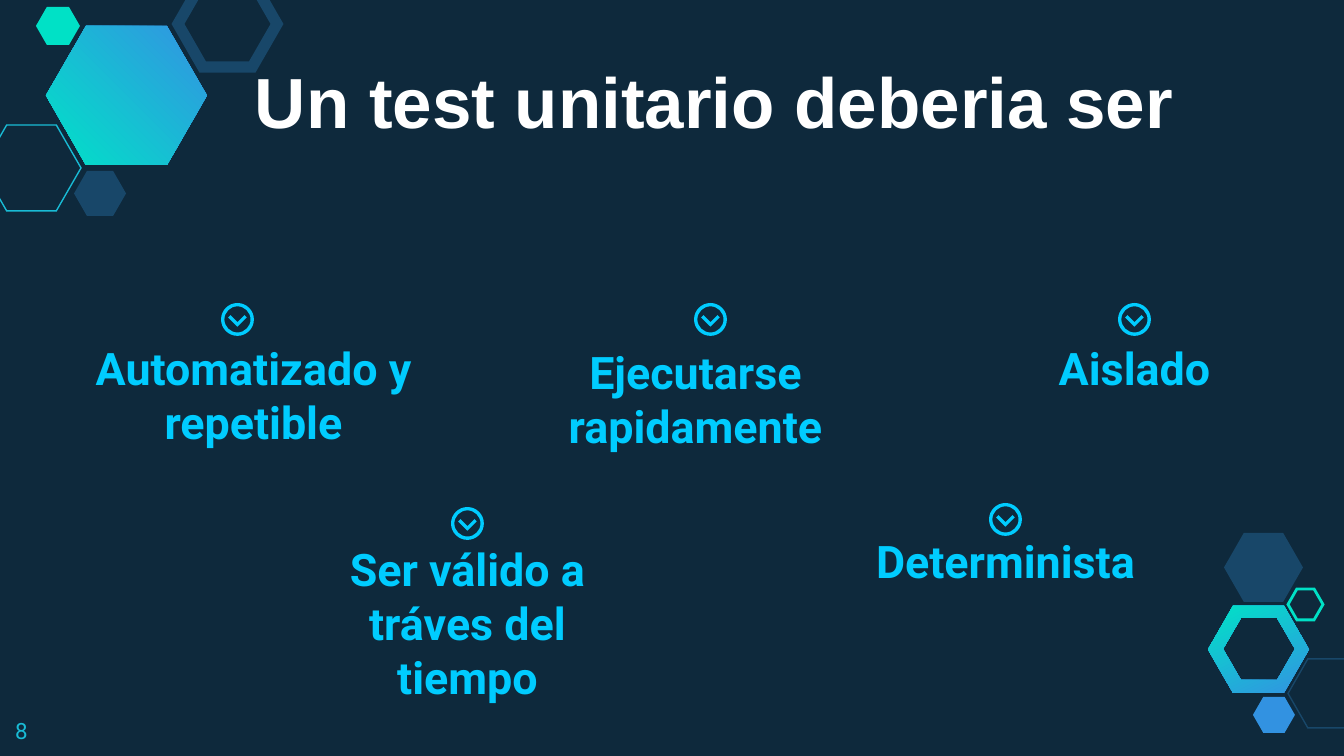
from dataclasses import dataclass

from lxml import etree
from pptx import Presentation
from pptx.dml.color import RGBColor
from pptx.enum import shapes, text
from pptx.oxml import ns
from pptx import util as u

PX = 914400 / 134.4
WIDTH, HEIGHT = 1344, 756
CURVE = 0.55  # handle length of a quarter circle, as a share of its radius


@dataclass(frozen=True)
class Theme:
    background: str = "0E293C"
    navy: str = "184769"
    teal: str = "19BBD5"
    mint: str = "00E1C6"
    blue: str = "3292E1"
    gradient: tuple = ("3393E2", "00E2C7")
    accent: str = "00CCFF"
    white: str = "FFFFFF"
    title_font: str = "Arial"
    body_font: str = "Roboto"
    title_size: int = 38
    body_size: int = 24
    number_size: int = 12


THEME = Theme()


def px(value):
    return u.Emu(round(value * PX))


def rgb(value):
    return RGBColor.from_string(value)


def apply_format(target, values):
    for name, value in values.items():
        setattr(target, name, value)


def style_shape(shape, fill=None, line=None, weight=1):
    shape.shadow.inherit = False
    if fill:
        shape.fill.solid()
        shape.fill.fore_color.rgb = rgb(fill)
    else:
        shape.fill.background()
    if line:
        shape.line.color.rgb = rgb(line)
        shape.line.width = u.Pt(weight)
        miter = etree.SubElement(shape.line._get_or_add_ln(), ns.qn("a:miter"))
        miter.set("lim", "800000")
    else:
        shape.line.fill.background()


def add_outline(slide, contours):
    """Draw closed contours, given in px, as one freeform."""
    scaled = [[(x * PX, y * PX) for x, y in contour] for contour in contours]
    builder = slide.shapes.build_freeform(*scaled[0][0], scale=1.0)
    for index, contour in enumerate(scaled):
        if index:
            builder.move_to(*contour[0])
        builder.add_line_segments(contour[1:], close=contour[0] != contour[-1])
    return builder.convert_to_shape()


def hexagon_points(left, top, width, height, corner):
    right, bottom, middle = left + width, top + height, top + height / 2
    return [(left, middle), (left + corner, top), (right - corner, top),
            (right, middle), (right - corner, bottom), (left + corner, bottom)]


def add_gradient_hexagon(slide, contours, angle):
    shape = add_outline(slide, contours)
    style_shape(shape)
    shape.fill.gradient()
    shape.fill.gradient_angle = angle
    for stop, color in zip(shape.fill.gradient_stops, THEME.gradient):
        stop.color.rgb = rgb(color)


def add_hexagons(slide, left, top, hexagons):
    for (x, y, width, height), look in hexagons:
        shape = slide.shapes.add_shape(
            shapes.MSO_SHAPE.HEXAGON, px(left + x), px(top + y), px(width), px(height))
        shape.adjustments[0] = 0.287
        style_shape(shape, **look)


def add_text(slide, box, words, font, color, margin=(13, 7), align=text.PP_ALIGN.LEFT):
    shape = slide.shapes.add_textbox(*map(px, box))
    frame = shape.text_frame
    side, end = map(px, margin)
    apply_format(frame, {"word_wrap": True, "margin_left": side, "margin_right": side,
                         "margin_top": end, "margin_bottom": end})
    paragraph = frame.paragraphs[0]
    paragraph.alignment = align
    run = paragraph.add_run()
    run.text = words
    apply_format(run.font, font)
    run.font.color.rgb = rgb(color)
    return paragraph


def add_top_cluster(slide, left, top):
    big = hexagon_points(left + 46, top + 26, 161, 139, 40)
    add_gradient_hexagon(slide, [big], 225)
    add_hexagons(slide, left, top, [
        ((-18, 125, 99, 86), {"line": THEME.teal, "weight": 0.75}),
        ((74, 171, 52, 45), {"fill": THEME.navy}),
        ((178, -19, 99, 86), {"line": THEME.navy, "weight": 6}),
        ((36, 7, 44, 38), {"fill": THEME.mint}),
    ])


def add_bottom_cluster(slide, left, top):
    outer = hexagon_points(left, top + 72, 101, 87, 25)
    inner = hexagon_points(left + 15, top + 84, 72, 62, 18)
    add_gradient_hexagon(slide, [outer, inner[::-1]], 116)
    add_hexagons(slide, left, top, [
        ((80, 125, 79, 69), {"line": THEME.navy, "weight": 0.75}),
        ((45, 163, 42, 36), {"fill": THEME.blue}),
        ((16, -1, 79, 69), {"fill": THEME.navy}),
        ((80, 55, 35, 31), {"line": THEME.mint, "weight": 1.5}),
    ])


def circle_points(center_x, center_y, radius, turn):
    """Anchors and handles of four quarter curves, from the bottom round."""
    handle = radius * CURVE
    points = [(0, radius)]
    for dx, dy in [(-1, 0), (0, -1), (1, 0), (0, 1)]:
        start_x, start_y = points[-1]
        end_x, end_y = dx * radius, dy * radius
        points += [(start_x + dx * handle, start_y + dy * handle),
                   (end_x + start_x * CURVE, end_y + start_y * CURVE),
                   (end_x, end_y)]
    return [(center_x + x, center_y + y) for x, y in points[::turn]]


def curve_segments(shape, count):
    """Turn the first line segments, three at a time, into cubic curves."""
    segments = list(shape._element.iter(ns.qn("a:lnTo")))
    for index in range(0, count * 3, 3):
        first, *others = segments[index:index + 3]
        curve = etree.Element(ns.qn("a:cubicBezTo"))
        first.addprevious(curve)
        for segment in (first, *others):
            curve.append(segment[0])
            segment.getparent().remove(segment)


def add_chevron_icon(slide, left, top, size=31):
    radius = size / 2
    x, y = left + radius, top + radius
    chevron = [(-8, -2), (-7, -3), (0, 4), (7, -3), (8, -2), (0, 6)]
    icon = add_outline(slide, [
        circle_points(x, y, radius, 1),
        circle_points(x, y, radius - 1.5, -1),
        [(x + dx, y + dy) for dx, dy in chevron],
    ])
    curve_segments(icon, 8)
    style_shape(icon, fill=THEME.accent, line=THEME.accent)


def add_quality(slide, box, icon_offset, words):
    left, top = box[:2]
    add_chevron_icon(slide, left + icon_offset[0], top + icon_offset[1])
    font = {"name": THEME.body_font, "size": u.Pt(THEME.body_size), "bold": True}
    add_text(slide, box, words, font, THEME.accent, align=text.PP_ALIGN.CENTER)


def add_title(slide, box, words, indent):
    font = {"name": THEME.title_font, "size": u.Pt(THEME.title_size), "bold": True}
    paragraph = add_text(slide, box, words, font, THEME.white)
    properties = paragraph._p.get_or_add_pPr()
    properties.set("marL", str(px(indent)))
    properties.set("indent", "0")


def add_slide_number(slide, box, words):
    font = {"name": THEME.body_font, "size": u.Pt(THEME.number_size)}
    add_text(slide, box, words, font, THEME.teal, margin=(13, 13))


def main():
    presentation = Presentation()
    presentation.slide_width, presentation.slide_height = px(WIDTH), px(HEIGHT)
    slide = presentation.slides.add_slide(presentation.slide_layouts[6])
    slide.background.fill.solid()
    slide.background.fill.fore_color.rgb = rgb(THEME.background)

    # Corner decoration
    add_bottom_cluster(slide, 1208, 534)
    add_top_cluster(slide, 0, 0)

    # Number and title
    add_slide_number(slide, (2, 704, 81, 52), "8")
    add_title(slide, (47, 51, 1297, 151), "Un test unitario deberia ser", 195)

    # Qualities of a unit test
    for box, icon_offset, words in [
        ((80, 334, 347, 171), (142, -30), "Automatizado y repetible"),
        ((522, 338, 347, 171), (173, -34), "Ejecutarse rapidamente"),
        ((961, 334, 347, 70), (158, -30), "Aislado"),
        ((294, 535, 347, 171), (158, -27), "Ser válido a tráves del tiempo"),
        ((832, 527, 347, 171), (158, -23), "Determinista"),
    ]:
        add_quality(slide, box, icon_offset, words)

    presentation.save("out.pptx")


if __name__ == "__main__":
    main()
